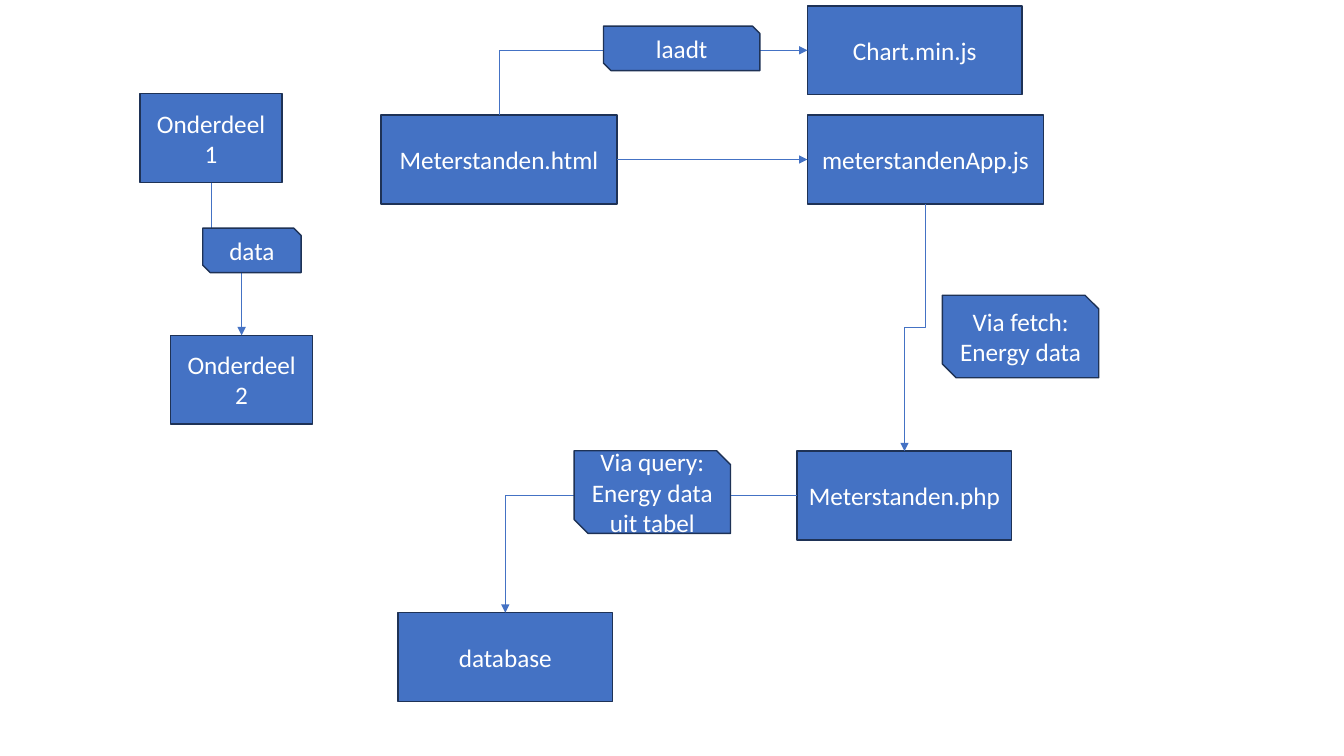
from lxml.etree import SubElement
from pptx import Presentation
from pptx.dml.color import RGBColor
from pptx.enum.shapes import MSO_CONNECTOR, MSO_SHAPE
from pptx.enum.text import MSO_ANCHOR, PP_ALIGN
from pptx.oxml.ns import qn
from pptx.util import Cm, Pt


def color(value):
    return RGBColor.from_string(value)


def write(box, text, font="Calibri", size=18, ink="FFFFFF"):
    frame = box.text_frame
    frame.word_wrap = True
    frame.vertical_anchor = MSO_ANCHOR.MIDDLE
    for number, line in enumerate(text.split("\n")):
        para = frame.add_paragraph() if number else frame.paragraphs[0]
        para.alignment = PP_ALIGN.CENTER
        span = para.add_run()
        span.text = line
        span.font.name = font
        span.font.size = Pt(size)
        span.font.color.rgb = color(ink)


def side(box, name):
    """Return the middle of the named side of a box."""
    center_x, center_y = box.left + box.width // 2, box.top + box.height // 2
    return {
        "top": (center_x, box.top),
        "bottom": (center_x, box.top + box.height),
        "left": (box.left, center_y),
        "right": (box.left + box.width, center_y),
    }[name]


class Diagram:
    fill = "4472C4"
    outline = "1E3256"

    def __init__(self, page):
        self.page = page

    def shape(self, kind, text, left, top, width, height):
        box = self.page.shapes.add_shape(kind, Cm(left), Cm(top), Cm(width), Cm(height))
        box.shadow.inherit = False
        box.fill.solid()
        box.fill.fore_color.rgb = color(self.fill)
        box.line.color.rgb = color(self.outline)
        box.line.width = Pt(1)
        write(box, text)
        return box

    def component(self, text, left, top, width=5.41):
        return self.shape(MSO_SHAPE.RECTANGLE, text, left, top, width, 2.24)

    def label(self, text, left, top, width=3.94, height=2.08):
        return self.shape(MSO_SHAPE.SNIP_2_DIAG_RECTANGLE, text, left, top, width, height)

    def arrow(self, start, end, vertical=False, corner=False):
        """Draw an elbow arrow that leaves vertically if asked, with one corner or two."""
        (x1, y1), (x2, y2) = start, end
        if vertical:
            # Undo the quarter turn about the centre that is set on the connector below.
            middle_x, middle_y = (x1 + x2) // 2, (y1 + y2) // 2
            half_x, half_y = (x2 - x1) // 2, (y2 - y1) // 2
            x1, y1 = middle_x - half_y, middle_y + half_x
            x2, y2 = middle_x + half_y, middle_y - half_x
        line = self.page.shapes.add_connector(MSO_CONNECTOR.ELBOW, x1, y1, x2, y2)
        line.line.color.rgb = color(self.fill)
        line.line.width = Pt(0.5)
        properties = line._element.spPr
        if vertical:
            properties.find(qn("a:xfrm")).set("rot", str(90 * 60000))
        if corner:
            properties.find(qn("a:prstGeom")).set("prst", "bentConnector2")
        SubElement(properties.find(qn("a:ln")), qn("a:tailEnd"), type="triangle")
        SubElement(properties, qn("a:effectLst"))


def main():
    deck = Presentation()
    deck.slide_width, deck.slide_height = Cm(33.87), Cm(19.05)
    diagram = Diagram(deck.slides.add_slide(deck.slide_layouts[6]))

    first = diagram.component("Onderdeel 1", 3.53, 2.36, width=3.58)
    second = diagram.component("Onderdeel 2", 4.3, 8.45, width=3.58)
    html = diagram.component("Meterstanden.html", 9.6, 2.9, width=5.95)
    app = diagram.component("meterstandenApp.js", 20.35, 2.9, width=5.95)
    php = diagram.component("Meterstanden.php", 20.09, 11.37)
    chart = diagram.component("Chart.min.js", 20.35, 0.15)
    database = diagram.component("database", 10.03, 15.44)

    diagram.arrow(side(first, "bottom"), side(second, "top"), vertical=True)
    diagram.arrow(side(html, "top"), side(chart, "left"), vertical=True, corner=True)
    diagram.arrow(side(html, "right"), side(app, "left"))
    diagram.arrow(side(app, "bottom"), side(php, "top"), vertical=True)
    diagram.arrow(side(php, "left"), side(database, "top"), corner=True)

    diagram.label("data", 5.11, 5.75, width=2.48, height=1.12)
    diagram.label("laadt", 15.21, 0.66, height=1.12)
    diagram.label("Via fetch:\nEnergy data", 23.75, 7.44)
    diagram.label("Via query:\nEnergy data uit tabel", 14.47, 11.36)

    deck.save("out.pptx")


if __name__ == "__main__":
    main()
